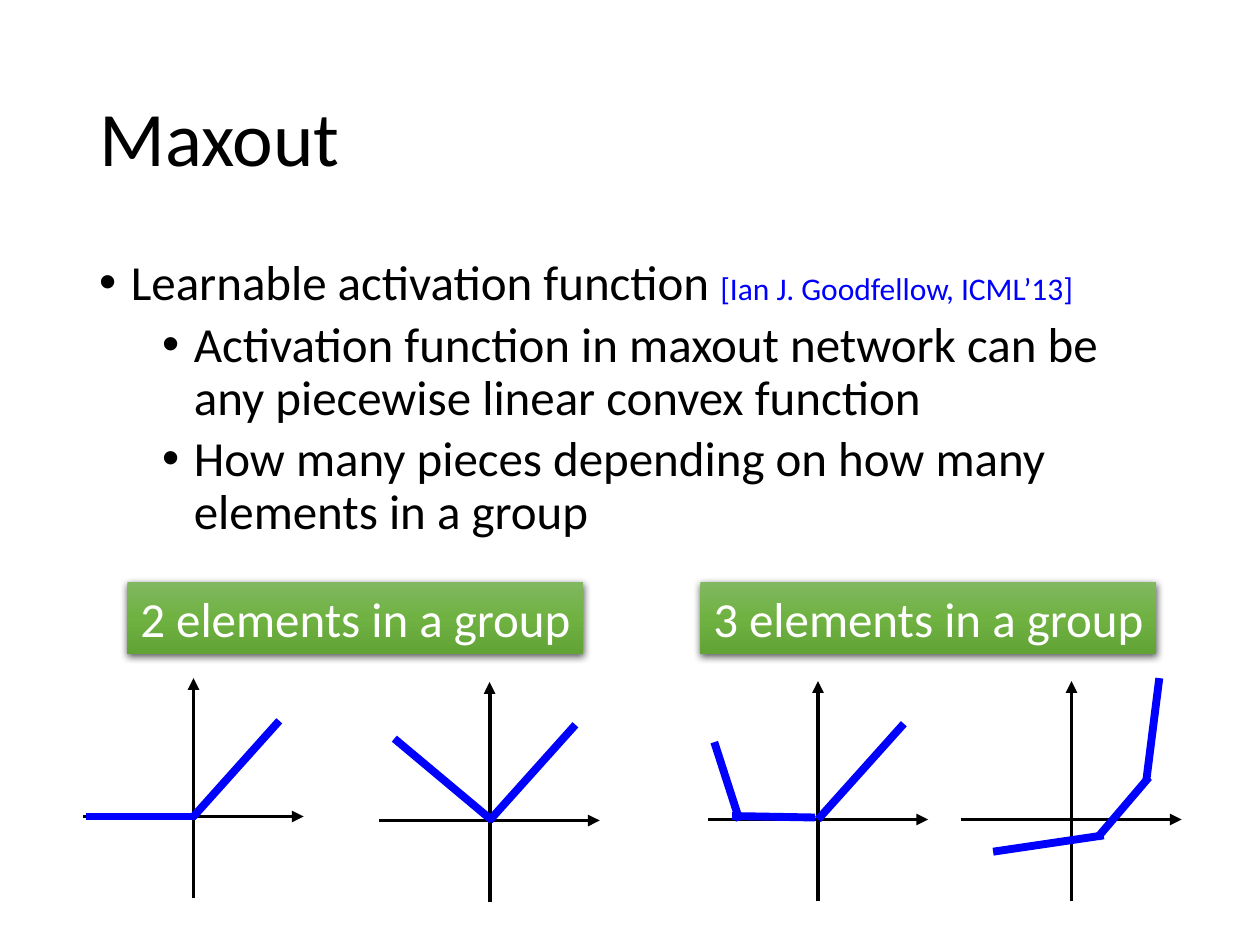
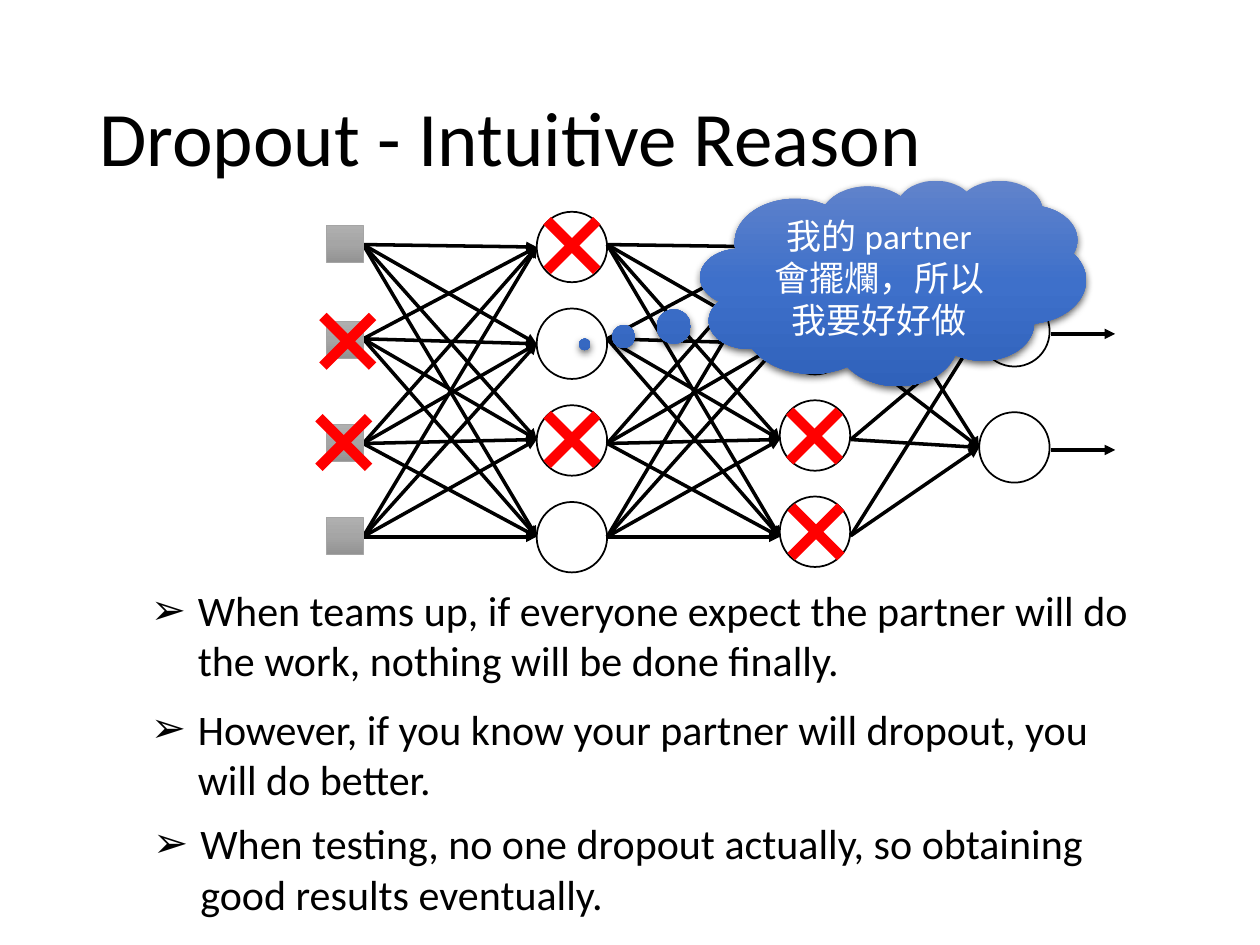
"""Build two slides on maxout activations and the intuition behind dropout."""
from itertools import product

from lxml import etree
from pptx import Presentation
from pptx import util as u
from pptx.dml.color import RGBColor
from pptx.enum import shapes, text
from pptx.oxml.ns import qn

FONT = "Calibri"
COLORS = {
    "black": "000000",
    "white": "FFFFFF",
    "blue": "0000FF",
    "red": "FF0000",
    "gray": "A5A5A5",
}
GRADIENTS = {
    "green": ("81B861", "6FB242", "62A336"),
    "gray": ("AFAFAF", "A5A5A5", "939393"),
    "cloud": ("6183CB", "3E70CA", "3062BB"),
}


def color(name):
    return RGBColor.from_string(COLORS[name])


def add_element(parent, tag, **attributes):
    return etree.SubElement(parent, qn(tag), attributes)


class Deck:
    """Holds the presentation, its style and the current slide."""

    def __init__(self):
        self.presentation = Presentation()
        self.presentation.slide_width = u.Cm(25.4)
        self.presentation.slide_height = u.Cm(19.05)
        self.slide = None

    def new_slide(self, title):
        self.slide = self.presentation.slides.add_slide(self.presentation.slide_layouts[5])
        shape = self.slide.shapes.title
        shape.left, shape.top = u.Cm(1.75), u.Cm(1.01)
        shape.width, shape.height = u.Cm(21.9), u.Cm(3.68)
        frame = shape.text_frame
        frame.auto_size = text.MSO_AUTO_SIZE.NONE
        frame.vertical_anchor = text.MSO_ANCHOR.MIDDLE
        paragraph = frame.paragraphs[0]
        paragraph.alignment = text.PP_ALIGN.LEFT
        paragraph.line_spacing = 0.9
        self.run(paragraph, title, 44)

    def run(self, paragraph, words, size, name="black"):
        run = paragraph.add_run()
        run.text = words
        run.font.name = FONT
        run.font.size = u.Pt(size)
        run.font.color.rgb = color(name)

    def textbox(self, left, top, width, height):
        shape = self.slide.shapes.add_textbox(u.Cm(left), u.Cm(top), u.Cm(width), u.Cm(height))
        shape.text_frame.word_wrap = True
        return shape.text_frame

    def bullet(self, paragraph, symbol, margin, hang):
        properties = paragraph._p.get_or_add_pPr()
        properties.set("marL", str(u.Cm(margin)))
        properties.set("indent", str(-u.Cm(hang)))
        add_element(properties, "a:buFont", typeface="Arial")
        add_element(properties, "a:buChar", char=symbol)

    def shape(self, kind, left, top, width, height, gradient=None, outline=None, weight=1):
        shape = self.slide.shapes.add_shape(kind, u.Cm(left), u.Cm(top), u.Cm(width), u.Cm(height))
        shape.shadow.inherit = False
        if gradient:
            self.gradient(shape, GRADIENTS[gradient])
        else:
            shape.fill.background()
        if outline:
            shape.line.color.rgb = color(outline)
            shape.line.width = u.Pt(weight)
        else:
            shape.line.fill.background()
        return shape

    def gradient(self, shape, stops):
        shape.fill.gradient()
        shape.fill.gradient_angle = 270
        stop_list = shape._element.spPr.find(".//" + qn("a:gsLst"))
        for stop in list(stop_list):
            stop_list.remove(stop)
        for position, value in zip((0, 50000, 100000), stops):
            stop = add_element(stop_list, "a:gs", pos=str(position))
            add_element(stop, "a:srgbClr", val=value)

    def raised_shape(self, kind, left, top, width, height, gradient, words, size, wrap):
        shape = self.shape(kind, left, top, width, height, gradient)
        effects = shape._element.spPr.find(qn("a:effectLst"))
        shadow = add_element(effects, "a:outerShdw", blurRad=str(u.Pt(4.5)),
                             dist=str(u.Pt(1.5)), dir="5400000", rotWithShape="0")
        tint = add_element(shadow, "a:srgbClr", val=COLORS["black"])
        add_element(tint, "a:alpha", val="63000")
        frame = shape.text_frame
        frame.word_wrap = wrap
        frame.vertical_anchor = text.MSO_ANCHOR.MIDDLE
        paragraph = frame.paragraphs[0]
        paragraph.alignment = text.PP_ALIGN.CENTER
        self.run(paragraph, words, size, "white")
        return shape

    def line(self, start, end, name="black", weight=2.0, arrow=False):
        connector = self.slide.shapes.add_connector(
            shapes.MSO_CONNECTOR.STRAIGHT, *(u.Cm(value) for value in (*start, *end)))
        connector.line.color.rgb = color(name)
        connector.line.width = u.Pt(weight)
        if arrow:
            add_element(connector.line._get_or_add_ln(), "a:tailEnd", type="triangle")
        add_element(connector._element.spPr, "a:effectLst")

    def graph(self, x, y, pieces):
        self.line((x - 2.22, y), (x + 2.22, y), weight=2.25, arrow=True)
        self.line((x, y + 1.65), (x, y - 2.79), weight=2.25, arrow=True)
        for x1, y1, x2, y2 in pieces:
            self.line((x + x1, y + y1), (x + x2, y + y2), "blue", 4.5)

    def cross(self, x, y, half=0.5):
        self.line((x - half, y - half), (x + half, y + half), "red", 6)
        self.line((x + half, y - half), (x - half, y + half), "red", 6)

    def connect(self, left, starts, right, ends):
        for start, end in product(starts, ends):
            self.line((left, start), (right, end), arrow=True)


def build_maxout(deck):
    deck.new_slide("Maxout")
    frame = deck.textbox(1.75, 5.08, 21.9, 6.5)
    points = [
        (0, 10, [("Learnable activation function ", 28, "black"),
                 ("[Ian J. Goodfellow, ICML’13]", 18, "blue")]),
        (1, 5, [("Activation function in maxout network can be any piecewise linear "
                 "convex function", 28, "black")]),
        (1, 5, [("How many pieces depending on how many elements in a group", 28, "black")]),
    ]
    for index, (level, space, runs) in enumerate(points):
        paragraph = frame.add_paragraph() if index else frame.paragraphs[0]
        paragraph.level = level
        paragraph.line_spacing = 0.9
        paragraph.space_before = u.Pt(space)
        deck.bullet(paragraph, "•", 0.64 + 1.27 * level, 0.64)
        for words, size, name in runs:
            deck.run(paragraph, words, size, name)

    for count, left in ((2, 2.57), (3, 14.12)):
        deck.raised_shape(shapes.MSO_SHAPE.RECTANGLE, left, 11.73, 9.19, 1.45, "green",
                          f"{count} elements in a group", 28, False)

    rising = (0, 0, 1.73, -1.93)
    deck.graph(3.9, 16.46, [(-2.17, 0, 0.05, 0), rising])
    deck.graph(9.87, 16.54, [(-1.92, -1.65, 0.05, 0), rising])
    deck.graph(16.49, 16.52, [(-2.09, -1.56, -1.58, 0.02), (-1.73, -0.07, -0.06, -0.04), rising])
    deck.graph(21.6, 16.52, [(-1.58, 0.65, 0.65, 0.32), (0.52, 0.37, 1.56, -0.85),
                             (1.51, -0.8, 1.77, -2.85)])


def build_dropout(deck):
    deck.new_slide("Dropout - Intuitive Reason")
    neuron = 1.42
    first_hidden = [4.27 + 1.95 * row for row in range(4)]
    second_hidden = [4.19 + 1.94 * row for row in range(4)]
    layers = ((10.82, first_hidden), (15.72, second_hidden), (19.74, (5.97, 8.31)))
    for left, tops in layers:
        for top in tops:
            deck.shape(shapes.MSO_SHAPE.OVAL, left, top, neuron, neuron, outline="black")

    departures = (4.93, 6.83, 8.94, 10.82)
    arrivals = (4.98, 6.93, 8.86, 10.82)
    deck.connect(7.32, departures, 10.82, arrivals)
    deck.connect(12.24, departures, 15.72, arrivals)
    deck.connect(17.15, (4.93, 7.04, 8.86, 10.8), 19.74, (6.68, 9.02))
    for y in (6.73, 9.07):
        deck.line((21.18, y), (22.48, y), arrow=True)
    for top in (4.55, 6.48, 8.56, 10.44):
        deck.shape(shapes.MSO_SHAPE.RECTANGLE, 6.58, top, 0.74, 0.74, "gray", "gray", 0.5)

    cloud = deck.raised_shape(shapes.MSO_SHAPE.CLOUD_CALLOUT, 14.12, 3.63, 7.77, 4.14, "cloud",
                              "我的 partner 會擺爛，所以我要好好做", 20, True)
    cloud.adjustments[0], cloud.adjustments[1] = -0.8, 0.3

    dropped = ((7.01, 6.88), (6.93, 8.92), (11.53, 4.95), (11.53, 8.86),
               (16.42, 8.79), (16.45, 10.72))
    for x, y in dropped:
        deck.cross(x, y)

    lessons = (
        (2.79, 11.66, 20.27, "When teams up, if everyone expect the partner will do the work, "
                             "nothing will be done finally."),
        (2.79, 14.05, 19.61, "However, if you know your partner will dropout, you will do better."),
        (2.84, 16.36, 20.37, "When testing, no one dropout actually, so obtaining good results "
                             "eventually."),
    )
    for left, top, width, words in lessons:
        paragraph = deck.textbox(left, top, width, 2.31).paragraphs[0]
        deck.bullet(paragraph, "➢", 0.95, 0.95)
        deck.run(paragraph, words, 24)


def main():
    deck = Deck()
    build_maxout(deck)
    build_dropout(deck)
    deck.presentation.save("out.pptx")


if __name__ == "__main__":
    main()
